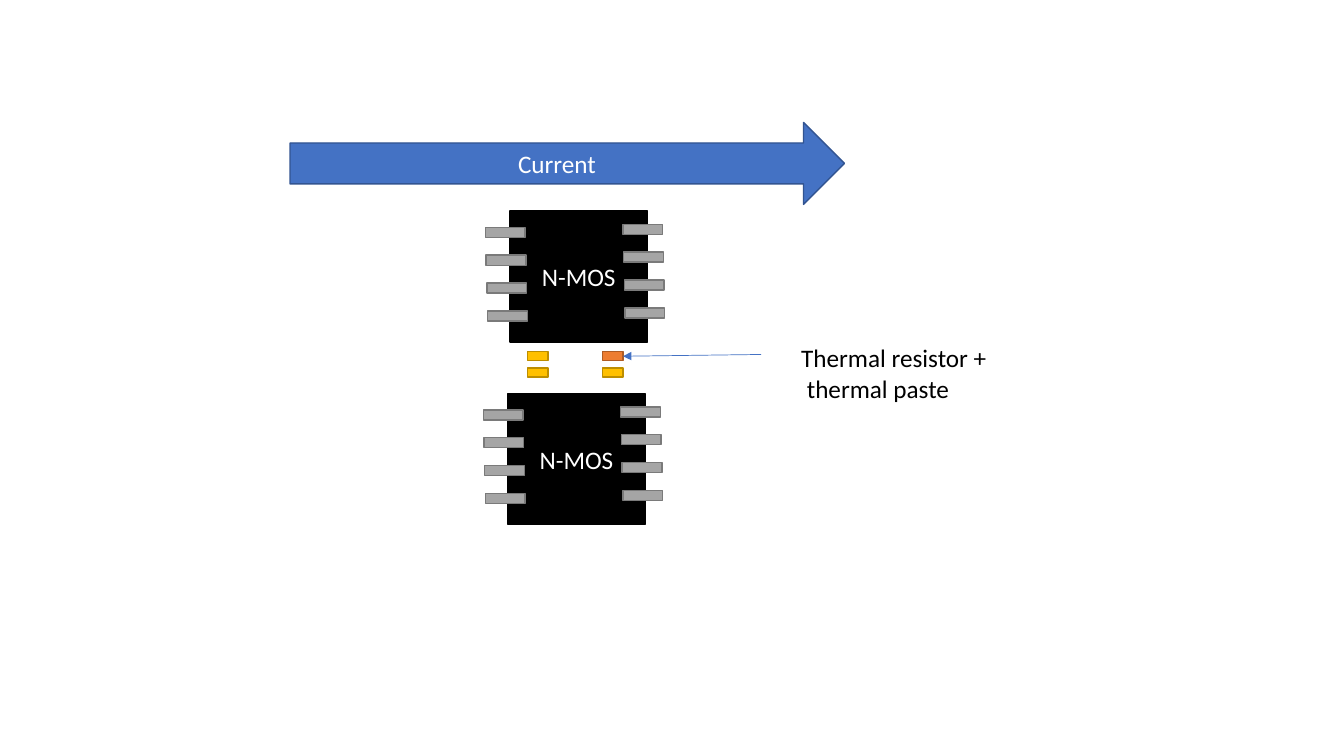
from lxml import etree
from pptx import Presentation
from pptx.dml.color import RGBColor
from pptx.enum.shapes import MSO_CONNECTOR, MSO_SHAPE
from pptx.enum.text import MSO_ANCHOR, MSO_AUTO_SIZE, PP_ALIGN
from pptx.oxml.ns import qn
from pptx.util import Pt

RECT, ARROW = MSO_SHAPE.RECTANGLE, MSO_SHAPE.RIGHT_ARROW
STRAIGHT = MSO_CONNECTOR.STRAIGHT
MIDDLE, CENTER = MSO_ANCHOR.MIDDLE, PP_ALIGN.CENTER
FIT_SHAPE = MSO_AUTO_SIZE.SHAPE_TO_FIT_TEXT
RIGHT_SIDE = 3

COLORS = {
    "black": "000000", "white": "FFFFFF",
    "pin": "A5A5A5", "pin_edge": "7A7A7A",
    "pad": "FFC000", "pad_edge": "BD8E00",
    "resistor": "ED7D31", "resistor_edge": "AF5C24",
    "current": "4472C4", "current_edge": "325491",
}
FONT, SIZE = "Calibri", 18

CHIPS = [("N-MOS", 364.4, 150.6), ("N-MOS", 362.8, 281)]
CHIP_SIZE = (98, 93.8)
PIN_SIZE = (28.4, 7.2)
PIN_COUNT = 4
PIN_STEP = (0.5, 19.9)
PIN_STARTS = [(-17.6, 11.8), (80.6, 9.6)]

PADS = [
    ("pad", 430.4, 262.8),
    ("resistor", 430.4, 251.2),
    ("pad", 376.8, 262.8),
    ("pad", 376.8, 251.2),
]
PAD_SIZE = (14.6, 6.5)

CURRENT = ("Current", 207.2, 87.5, 396, 58.5)
NOTE = (["Thermal resistor +", " thermal paste"], 565.2, 241.2, 148.4, 51)
POINTER_START = (543.6, 253.2)


def rgb(name):
    return RGBColor.from_string(COLORS[name])


def style_text(p, color):
    p.font.name, p.font.size = FONT, Pt(SIZE)
    p.font.color.rgb = rgb(color)


def add_block(s, kind, x, y, w, h, fill, edge, text=None):
    sp = s.shapes.add_shape(kind, Pt(x), Pt(y), Pt(w), Pt(h))
    sp.shadow.inherit = False
    sp.fill.solid()
    sp.fill.fore_color.rgb = rgb(fill)
    sp.line.color.rgb = rgb(edge)
    sp.line.width = Pt(1)
    if text:
        tf = sp.text_frame
        tf.vertical_anchor = MIDDLE
        p = tf.paragraphs[0]
        p.text, p.alignment = text, CENTER
        style_text(p, "white")
    return sp


def add_chip(s, label, x, y):
    add_block(s, RECT, x, y, *CHIP_SIZE, "black", "black", label)
    for dx, dy in PIN_STARTS:
        for i in range(PIN_COUNT):
            add_block(s, RECT, x + dx + i * PIN_STEP[0], y + dy + i * PIN_STEP[1],
                      *PIN_SIZE, "pin", "pin_edge")


def add_pointer(s, target):
    x, y = map(Pt, POINTER_START)
    line = s.shapes.add_connector(STRAIGHT, x, y, x, y)
    line.end_connect(target, RIGHT_SIDE)
    line.line.color.rgb = rgb("current")
    line.line.width = Pt(0.5)
    etree.SubElement(line.line._get_or_add_ln(), qn("a:tailEnd"), type="triangle")
    etree.SubElement(line._element.spPr, qn("a:effectLst"))


def add_note(s, lines, x, y, w, h):
    tf = s.shapes.add_textbox(Pt(x), Pt(y), Pt(w), Pt(h)).text_frame
    tf.word_wrap = False
    tf.auto_size = FIT_SHAPE
    tf.text = "\n".join(lines)
    for p in tf.paragraphs:
        style_text(p, "black")


def main():
    """Build the slide of two chips with a thermal resistor between them."""
    prs = Presentation()
    prs.slide_width, prs.slide_height = Pt(960), Pt(540)
    s = prs.slides.add_slide(prs.slide_layouts[6])
    for chip in CHIPS:
        add_chip(s, *chip)
    pads = {}
    for kind, x, y in PADS:
        pads[kind] = add_block(s, RECT, x, y, *PAD_SIZE, kind, f"{kind}_edge")
    label, *box = CURRENT
    add_block(s, ARROW, *box, "current", "current_edge", label)
    add_pointer(s, pads["resistor"])
    add_note(s, *NOTE)
    prs.save("out.pptx")


if __name__ == "__main__":
    main()
